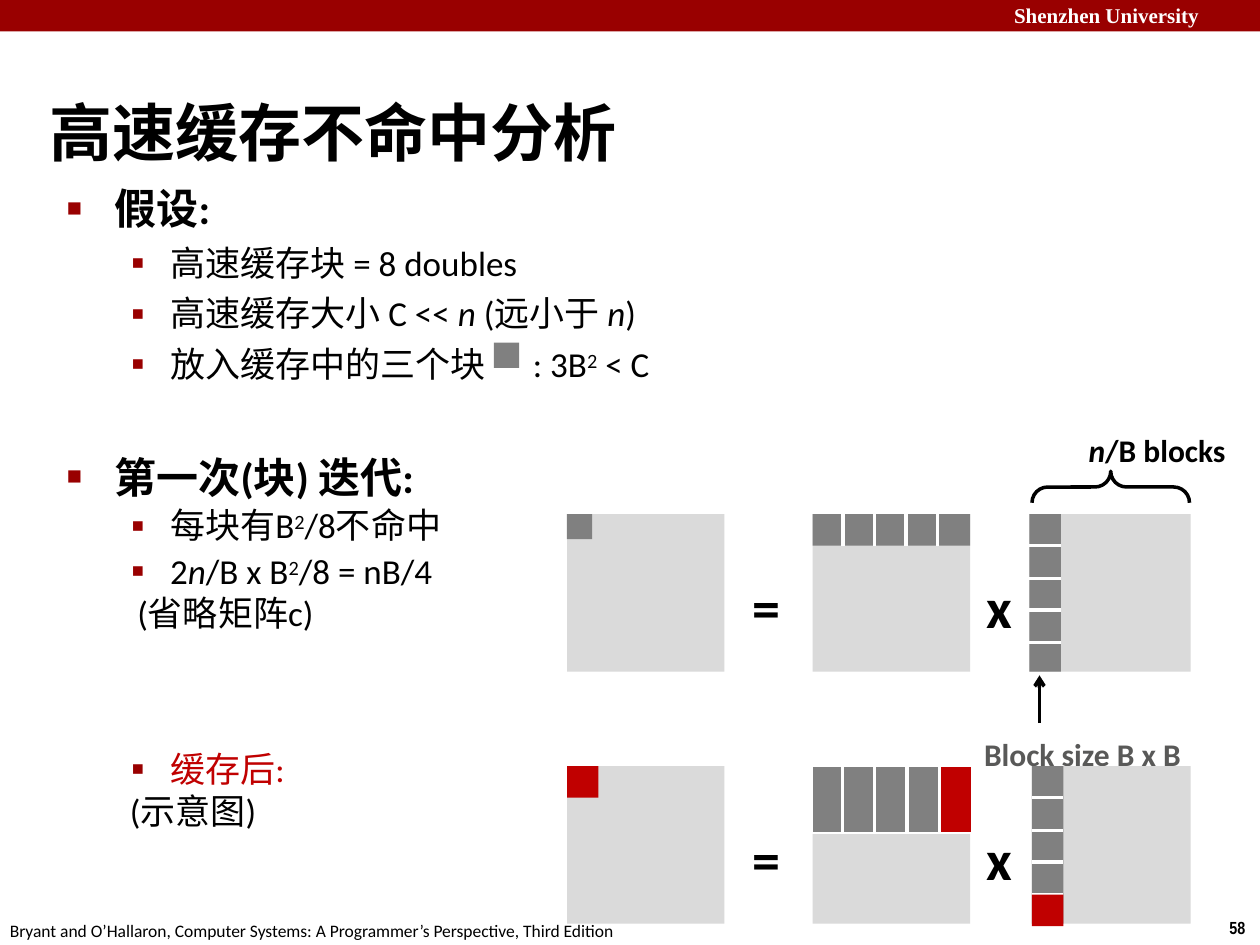
import pptx
import pptx.util
import pptx.dml.color
import pptx.enum.shapes
import pptx.enum.text
import pptx.oxml.ns
import lxml.etree

PX = 9144  # 100 px to the inch
SHAPE = pptx.enum.shapes.MSO_SHAPE
LIGHT, GRAY, RED, DARK = "DADADA", "808080", "C00000", "990000"
BLACK, WHITE = "000000", "FFFFFF"
SIDE = 125


def px(*nums):
    return [round(n * PX) for n in nums]


def color(hexa):
    return pptx.dml.color.RGBColor.from_string(hexa)


def node(parent, tag, **attrs):
    child = lxml.etree.SubElement(parent, pptx.oxml.ns.qn(tag))
    for key, val in attrs.items():
        child.set(key, str(val))
    return child


def block(slide, box, fill):
    shape = slide.shapes.add_shape(SHAPE.RECTANGLE, *px(*box))
    shape.shadow.inherit = False
    shape.fill.solid()
    shape.fill.fore_color.rgb = color(fill)
    shape.line.fill.background()


def rule(slide, ends, hexa):
    line = slide.shapes.add_connector(
        pptx.enum.shapes.MSO_CONNECTOR.STRAIGHT, *px(*ends))
    line.line.color.rgb = color(hexa)
    line.line.width = pptx.util.Pt(2)
    node(line._element.spPr, "a:effectLst")
    return line


def frame(slide, box, pad=(0, 0, 0, 0), wrap=True):
    text = slide.shapes.add_textbox(*px(*box)).text_frame
    text.word_wrap = wrap
    (text.margin_left, text.margin_top,
     text.margin_right, text.margin_bottom) = px(*pad)
    return text


def write(text, runs, size, face="Calibri", hexa=BLACK, bold=False,
          indent=(0, 0), mark=None, tab=None, gap=0):
    """Add a paragraph; each run is (words, style), i italic or s superscript."""
    para = text.paragraphs[0]
    if para.runs:
        para = text.add_paragraph()
    props = para._p.get_or_add_pPr()
    left, hang = px(*indent)
    props.set("marL", str(left))
    props.set("indent", str(-hang))
    if mark:
        char, scale = mark
        node(node(props, "a:buClr"), "a:srgbClr", val=DARK)
        node(props, "a:buSzPct", val=scale * 1000)
        node(props, "a:buFont", typeface="Arial")
        node(props, "a:buChar", char=char)
    if tab:
        node(node(props, "a:tabLst"), "a:tab", pos=px(tab)[0], algn="l")
    para.space_before = pptx.util.Pt(gap)
    for words, style in runs:
        run = para.add_run()
        run.text = words
        font = run.font
        font.name, font.size = face, pptx.util.Pt(size)
        font.bold, font.italic = bold, style == "i"
        font.color.rgb = color(hexa)
        if style == "s":
            run._r.get_or_add_rPr().set("baseline", "26000")


def label(slide, box, runs, size, **style):
    write(frame(slide, box), runs, size, **style)


def header(slide):
    block(slide, (0, 0, 1000, 25), DARK)
    write(frame(slide, (795, -3, 212, 30), (10, 5, 10, 5)),
          [("Shenzhen University", "")], 12, "Times New Roman", WHITE, True)


def footer(slide):
    pad = (10, 5, 10, 5)
    write(frame(slide, (966, 723, 34, 27), pad, False),
          [("58", "")], 10, "Arial Narrow", bold=True)
    write(frame(slide, (-2, 725, 509, 27), pad, False),
          [("Bryant and O’Hallaron, Computer Systems: "
            "A Programmer’s Perspective, Third Edition", "")], 10)


def title(slide):
    text = frame(slide, (39, 43, 830, 92), (0, 31, 0, 0))
    text.vertical_anchor = pptx.enum.text.MSO_ANCHOR.MIDDLE
    write(text, [("高速缓存不命中分析", "")], 36, bold=True)


def notes(slide):
    """Bulleted text down the left side."""
    head = dict(size=24, bold=True, indent=(39, 38), mark=("■", 60))
    item = dict(size=20, indent=(83, 31), mark=("▪", 110), gap=4.8)
    sub = dict(size=20, indent=(33, 31), mark=("▪", 110))

    text = frame(slide, (52, 145, 531, 162))
    write(text, [("假设:", "")], **head)
    write(text, [("高速缓存块 = 8 doubles", "")], **item)
    write(text, [("高速缓存大小 C << ", ""), ("n ", "i"),
                 ("(远小于 ", ""), ("n", "i"), (")", "")], **item)
    write(text, [("放入缓存中的三个块\t: 3B", ""), ("2", "s"),
                 (" < C", "")], tab=371, **item)
    block(slide, (392, 272, 20, 20), GRAY)

    label(slide, (52, 358, 340, 40), [("第一次(块) 迭代:", "")], **head)
    text = frame(slide, (102, 400, 330, 104))
    write(text, [("每块有B", ""), ("2", "s"), ("/8不命中", "")], **sub)
    write(text, [("2", ""), ("n", "i"), ("/B x B", ""), ("2", "s"),
                 ("/8 = nB/4", "")], gap=2, **sub)
    write(text, [("(省略矩阵c)", "")], 20, indent=(7, 0))

    text = frame(slide, (102, 593, 259, 68))
    write(text, [("缓存后:", "")], hexa=RED, **sub)
    write(text, [("(示意图)", "")], 20, indent=(1, 0))


def product(slide, top, strip):
    """Draw C = A x B, with the block column of B starting at x = strip."""
    for left in (450, 645):
        block(slide, (left, top, SIDE, SIDE), LIGHT)
    block(slide, (strip, top, 945 - strip, SIDE), LIGHT)
    for sign, left in (("=", 597), ("x", 783)):
        label(slide, (left, top + 46, 25, 47), [(sign, "")], 32, bold=True)
    block(slide, (strip, top, 25, SIDE), GRAY)
    for i in range(1, 5):
        y = top + round(25.4 * i)
        rule(slide, (strip, y, strip + 25, y), WHITE)


def first(slide, top):
    product(slide, top, 817)
    block(slide, (450, top, 20, 20), GRAY)
    block(slide, (645, top, SIDE, 25), GRAY)
    for i in range(1, 5):
        x = 644 + 25 * i
        rule(slide, (x, top, x, top + 25), WHITE)

    brace = slide.shapes.add_shape(
        SHAPE.LEFT_BRACE, *px(869, top - 84, 25, SIDE))
    brace.rotation = 90
    brace.adjustments[0] = 0.5
    brace.shadow.inherit = False
    brace.fill.background()
    brace.line.color.rgb = color(BLACK)
    brace.line.width = pptx.util.Pt(2)
    label(slide, (864, top - 66, 120, 28),
          [("n", "i"), ("/B blocks", "")], 18, bold=True)

    arrow = rule(slide, (825, top + 166, 825, top + 128), BLACK)
    node(arrow.line._get_or_add_ln(), "a:tailEnd", type="arrow")
    label(slide, (781, top + 175, 165, 28),
          [("Block size B x B", "")], 18, hexa="595958", bold=True)


def after(slide, top):
    product(slide, top, 819)
    block(slide, (819, top + 102, 25, 25), RED)
    block(slide, (450, top, 25, 25), RED)
    grid = slide.shapes.add_table(1, 5, *px(645, top, SIDE, 53)).table
    for i, wide in enumerate((23, 25, 26, 26, 25)):
        grid.columns[i].width = px(wide)[0]
        cell = grid.cell(0, i)
        props = cell._tc.get_or_add_tcPr()
        for side, shown in (("L", i > 0), ("R", i < 4)):
            if shown:
                edge = node(props, "a:ln" + side, w=26900)
                node(node(edge, "a:solidFill"), "a:srgbClr", val=WHITE)
        cell.fill.solid()
        cell.fill.fore_color.rgb = color(RED if i == 4 else GRAY)


def main():
    deck = pptx.Presentation()
    deck.slide_width, deck.slide_height = px(1000, 750)
    slide = deck.slides.add_slide(deck.slide_layouts[6])
    header(slide)
    footer(slide)
    title(slide)
    notes(slide)
    first(slide, 408)
    after(slide, 608)
    deck.save("out.pptx")


if __name__ == "__main__":
    main()
